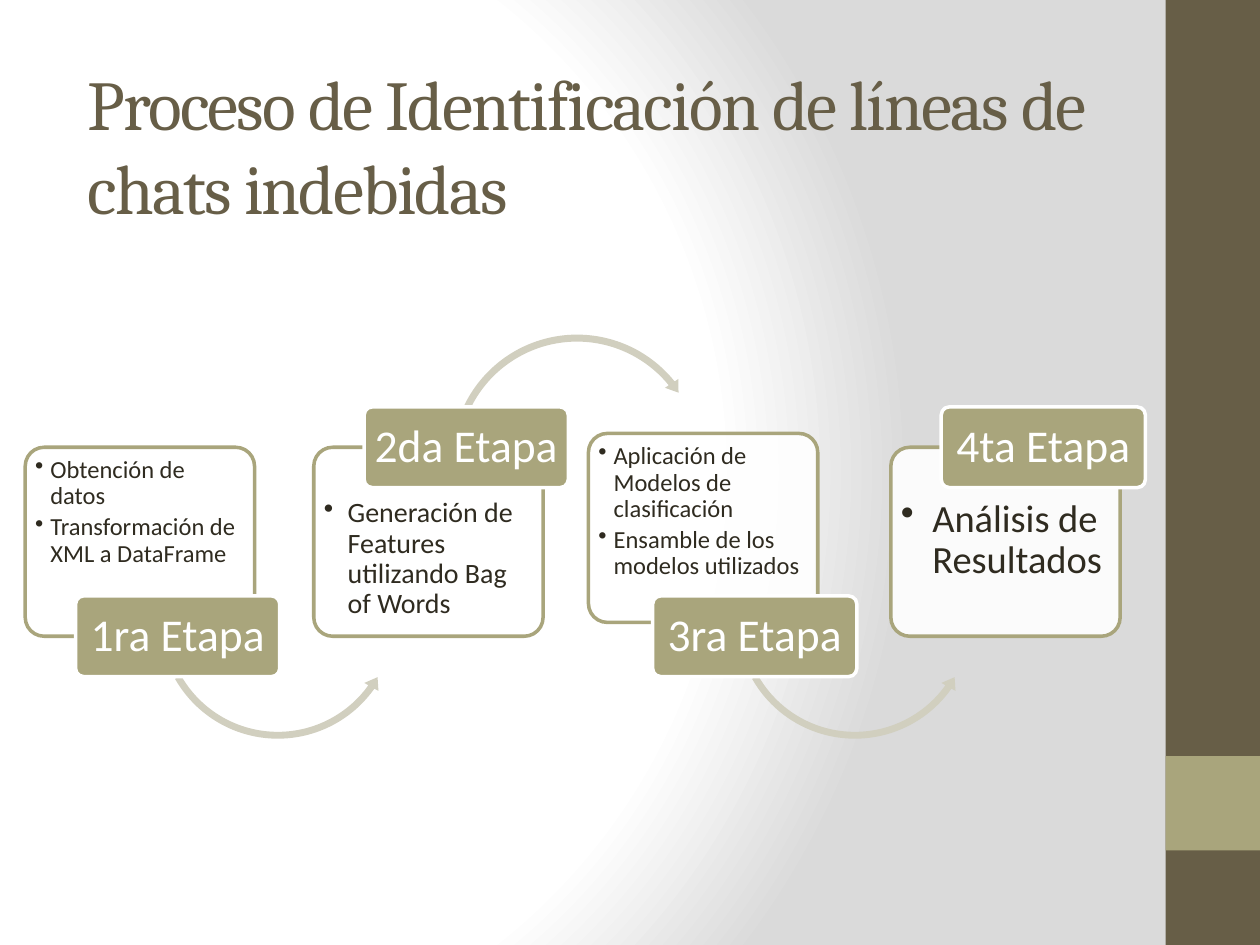
from pptx import Presentation
from pptx.dml.color import RGBColor
from pptx.enum.shapes import MSO_SHAPE
from pptx.enum.text import MSO_ANCHOR, PP_ALIGN
from pptx.oxml import parse_xml
from pptx.oxml.ns import nsdecls, qn
from pptx.util import Inches, Pt
from lxml import etree

RECT, ROUND = MSO_SHAPE.RECTANGLE, MSO_SHAPE.ROUNDED_RECTANGLE
ARC, LEFT_ARC = MSO_SHAPE.CIRCULAR_ARROW, MSO_SHAPE.LEFT_CIRCULAR_ARROW
TOP, MIDDLE, BOTTOM = MSO_ANCHOR.TOP, MSO_ANCHOR.MIDDLE, MSO_ANCHOR.BOTTOM
LEFT, CENTER = PP_ALIGN.LEFT, PP_ALIGN.CENTER

BROWN, OLIVE, SAND = "675E47", "A9A57C", "D1CFBF"
WHITE, INK, GREY = "FFFFFF", "2F2B20", "DADADA"


def color(code):
    return RGBColor.from_string(code)


def apply(target, values):
    for name, value in values.items():
        setattr(target, name, value)


class Deck:
    head, body = "Cambria", "Calibri"

    def __init__(self):
        self.prs = Presentation()
        apply(self.prs, {"slide_width": Inches(10), "slide_height": Inches(7.5)})
        self.slide = self.prs.slides.add_slide(self.prs.slide_layouts[6])

    def backdrop(self, stops):
        self.slide.background.fill.gradient()
        old = self.slide.element.find(".//" + qn("a:gradFill"))
        marks = "".join(
            f'<a:gs pos="{pos * 1000}"><a:srgbClr val="{code}"/></a:gs>'
            for pos, code in stops)
        new = parse_xml(
            f'<a:gradFill {nsdecls("a")} rotWithShape="1"><a:gsLst>{marks}</a:gsLst>'
            '<a:path path="circle"><a:fillToRect l="20000" t="50000" '
            'r="100000" b="50000"/></a:path></a:gradFill>')
        old.getparent().replace(old, new)

    def shape(self, kind, box, fill, line=None, adj=(), alpha=None):
        item = self.slide.shapes.add_shape(kind, *map(Inches, box))
        item.shadow.inherit = False
        item.fill.solid()
        item.fill.fore_color.rgb = color(fill)
        if alpha:
            tint = item.element.spPr.find(".//" + qn("a:srgbClr"))
            etree.SubElement(tint, qn("a:alpha"), val=str(alpha * 1000))
        if line:
            item.line.color.rgb = color(line)
            item.line.width = Pt(2)
        else:
            item.line.fill.background()
        for i, value in enumerate(adj):
            item.adjustments[i] = value

    def text(self, box, lines, size, code, font=None, anchor=TOP, align=LEFT,
             pad=(0.05, 0.05), para=None, indent=0, track=0):
        frame = self.slide.shapes.add_textbox(*map(Inches, box)).text_frame
        side, edge = map(Inches, pad)
        apply(frame, {"word_wrap": True, "vertical_anchor": anchor,
                      "margin_left": side, "margin_right": side,
                      "margin_top": edge, "margin_bottom": edge})
        for i, line in enumerate(lines):
            par = frame.paragraphs[0] if i == 0 else frame.add_paragraph()
            apply(par, {"alignment": align, **(para or {})})
            run = par.add_run()
            run.text = line
            apply(run.font, {"size": Pt(size), "name": font or self.body})
            run.font.color.rgb = color(code)
            if track:
                run.font.element.set("spc", str(track * 100)) if hasattr(
                    run.font, "element") else run._r.get_or_add_rPr().set(
                    "spc", str(track * 100))
            if indent:
                self.bullet(par, indent)

    def bullet(self, par, indent):
        props = par._p.get_or_add_pPr()
        props.set("marL", str(Inches(indent)))
        props.set("indent", str(-Inches(indent)))
        etree.SubElement(props, qn("a:buChar"), char="•")

    def card(self, x, y, lines, size, indent, high):
        self.shape(ROUND, (x, y, 1.82, 1.5), WHITE, OLIVE, [0.1], 90)
        drop = 0.36 if high else 0.03
        self.text((x + 0.03, y + drop, 1.76, 1.11), lines, size, INK,
                  indent=indent,
                  para={"line_spacing": 0.9, "space_after": Pt(2.5)})

    def label(self, x, y, name):
        self.shape(ROUND, (x, y, 1.62, 0.64), OLIVE, WHITE, [0.1])
        self.text((x + 0.02, y + 0.02, 1.58, 0.61), [name], 26, WHITE,
                  anchor=MIDDLE, align=CENTER, pad=(0.05, 0.04),
                  para={"line_spacing": 0.9})

    def arrow(self, x, high):
        if high:
            self.shape(ARC, (x + 1.06, 2.62, 2.06, 2.06), SAND,
                       adj=[0.027, 3.262, 192.646, 123.418, 0.031])
        else:
            self.shape(LEFT_ARC, (x + 1.03, 3.95, 1.95, 1.95), SAND,
                       adj=[0.028, 3.46, 21.215, 90.245, 0.033])


def main():
    deck = Deck()

    # Background and side band
    deck.backdrop([(0, WHITE), (75, WHITE), (100, GREY)])
    deck.shape(RECT, (9.25, 0, 0.75, 7.5), BROWN)
    deck.shape(RECT, (9.25, 6, 0.75, 0.75), OLIVE)

    # Stages: name, lines, text size, indent, card shift
    stages = [
        ("1ra Etapa", ["Obtención de datos",
                       "Transformación de XML a DataFrame"], 14, 0.12, 0),
        ("2da Etapa", ["Generación de Features utilizando Bag of Words"],
         16, 0.19, 0),
        ("3ra Etapa", ["Aplicación de Modelos de clasificación",
                       "Ensamble de los modelos utilizados"], 14, 0.12, 0.11),
        ("4ta Etapa", ["Análisis de Resultados"], 22, 0.25, 0),
    ]
    for i, (name, lines, size, indent, shift) in enumerate(stages):
        x, high = 0.2 + 2.29 * i, i % 2 == 1
        deck.card(x - shift, 3.55 - shift, lines, size, indent, high)
        if i < len(stages) - 1:
            deck.arrow(x, high)
        deck.label(x + 0.4, 3.23 if high else 4.73, name)

    # Title
    deck.text((0.6, 0.36, 8.33, 1.5),
              ["Proceso de Identificación de líneas de chats indebidas"],
              40, BROWN, deck.head, BOTTOM, pad=(0.1, 0.05), track=-1)

    deck.prs.save("out.pptx")


if __name__ == "__main__":
    main()
